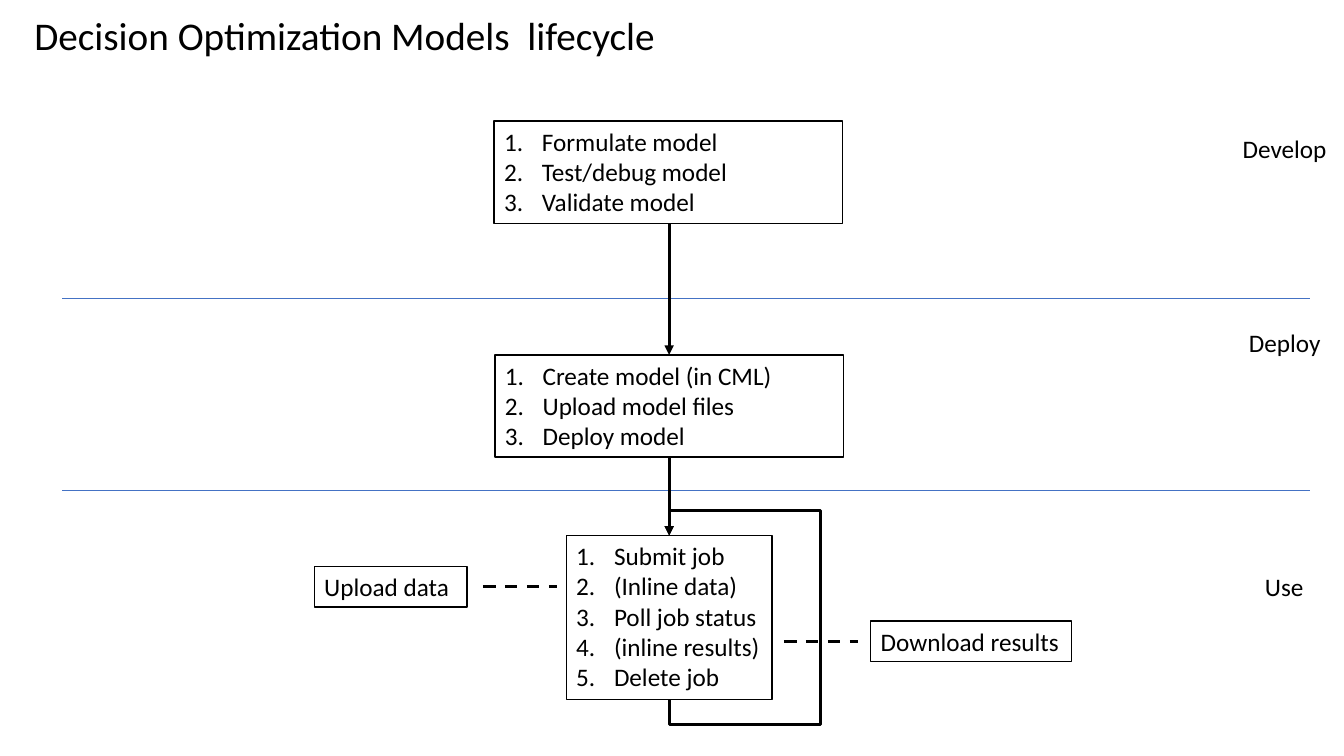
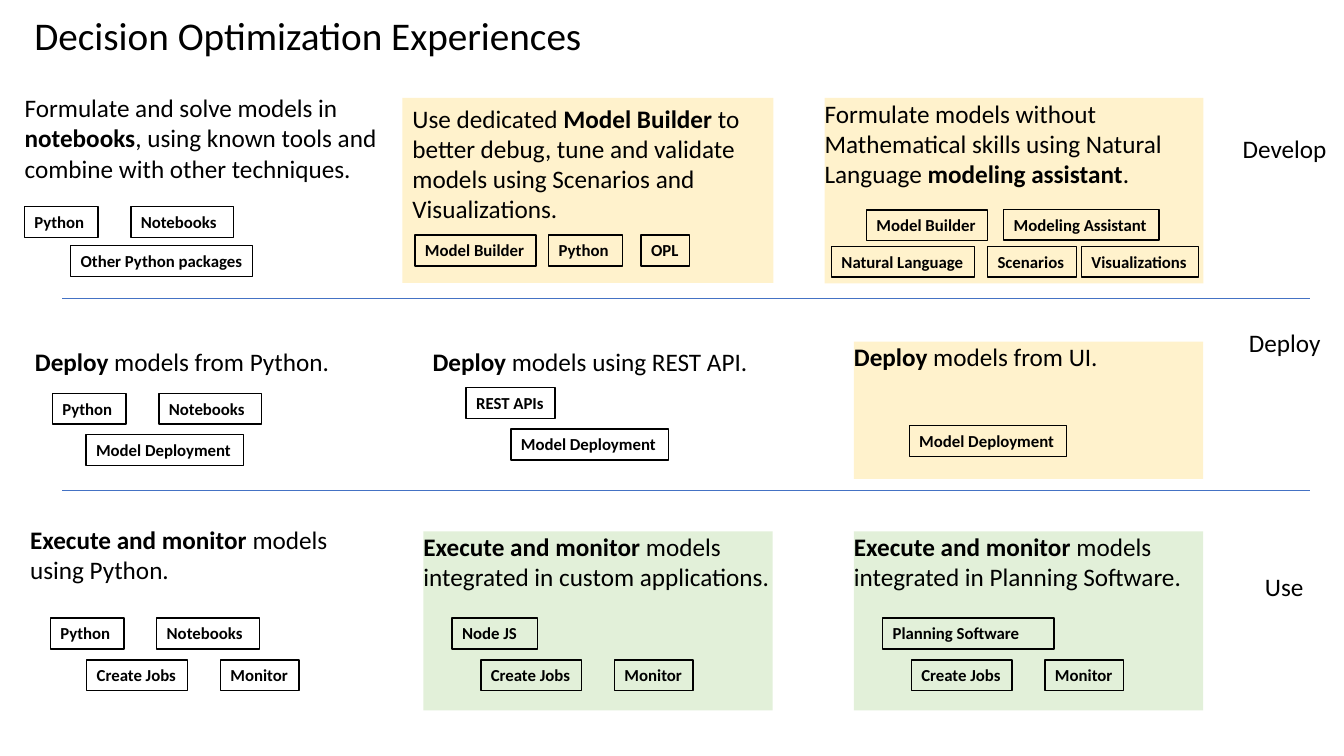
from dataclasses import dataclass
from typing import Optional

from lxml.etree import SubElement
from pptx import Presentation
from pptx.dml.color import RGBColor
from pptx.enum.dml import MSO_LINE_DASH_STYLE as Dash
from pptx.enum.shapes import MSO_CONNECTOR as Connector, MSO_SHAPE as Shape
from pptx.enum.text import MSO_ANCHOR as Anchor, PP_ALIGN as Align
from pptx.oxml.ns import qn
from pptx.util import Pt

FONT = "Calibri"
BLACK = RGBColor(0x00, 0x00, 0x00)
BLUE = RGBColor(0x44, 0x72, 0xC4)
YELLOW = RGBColor(0xFF, 0xF2, 0xCC)
GREEN = RGBColor(0xE2, 0xF0, 0xD9)

SLIDE_W, SLIDE_H = 960, 540
INSET_X, INSET_Y = 7.2, 3.6
LIST_INDENT = 27
FLOW_LINE = 2.25
FLOW_X = 478  # axis of the lifecycle
TAG_H = 22
TAG_WIDTHS = {
    "Python": 52.5, "Notebooks": 73.5, "Other Python packages": 130,
    "Model Builder": 86.5, "OPL": 34.5, "Scenarios": 63.5,
    "Visualizations": 83.5, "Natural Language": 102,
    "Modeling Assistant": 111, "Model Deployment": 112.5,
    "REST APIs": 63.5, "Node JS": 61, "Create Jobs": 72, "Monitor": 56,
    "Planning Software": 122.5,
}


@dataclass(frozen=True)
class Box:
    """Text area; *asterisks* in a line mark bold words."""
    x: float
    y: float
    w: float
    h: float
    lines: tuple[str, ...]
    fill: Optional[RGBColor] = None
    outlined: bool = False
    size: float = 18
    bold: bool = False
    numbered: bool = False
    inset: bool = True
    anchor: Anchor = Anchor.TOP
    spacing: float = 1.0


@dataclass(frozen=True)
class Tag:
    x: float
    y: float
    label: str


def number_paragraph(p) -> None:
    pPr = p._p.get_or_add_pPr()
    pPr.set("marL", str(Pt(LIST_INDENT)))
    pPr.set("indent", str(-Pt(LIST_INDENT)))
    SubElement(pPr, qn("a:buAutoNum"), type="arabicPeriod")


def add_box(slide, box: Box) -> None:
    s = slide.shapes.add_shape(
        Shape.RECTANGLE, Pt(box.x), Pt(box.y), Pt(box.w), Pt(box.h))
    s.shadow.inherit = False
    if box.fill is None:
        s.fill.background()
    else:
        s.fill.solid()
        s.fill.fore_color.rgb = box.fill
    if box.outlined:
        s.line.color.rgb = BLACK
        s.line.width = Pt(1)
    else:
        s.line.fill.background()

    tf = s.text_frame
    tf.word_wrap = True
    tf.vertical_anchor = box.anchor
    tf.margin_left = Pt(INSET_X if box.inset else 0)
    tf.margin_top = tf.margin_bottom = Pt(INSET_Y if box.inset else 0)
    tf.margin_right = Pt(0)
    for i, line in enumerate(box.lines):
        p = tf.add_paragraph() if i else tf.paragraphs[0]
        p.alignment = Align.LEFT
        p.line_spacing = box.spacing
        if box.numbered:
            number_paragraph(p)
        for j, words in enumerate(line.split("*")):
            if not words:
                continue
            r = p.add_run()
            r.text = words
            r.font.name = FONT
            r.font.size = Pt(box.size)
            r.font.bold = box.bold or j % 2 == 1
            r.font.color.rgb = BLACK


def add_tag(slide, tag: Tag) -> None:
    add_box(slide, Box(tag.x, tag.y, TAG_WIDTHS[tag.label], TAG_H,
                       (tag.label,), outlined=True, size=12, bold=True))


def add_arrowhead(s) -> None:
    SubElement(s._element.spPr.get_or_add_ln(), qn("a:tailEnd"),
               type="triangle")


def add_line(slide, x1: float, y1: float, x2: float, y2: float,
             color: RGBColor = BLACK, width: float = FLOW_LINE,
             dashed: bool = False, arrow: bool = False) -> None:
    s = slide.shapes.add_connector(
        Connector.STRAIGHT, Pt(x1), Pt(y1), Pt(x2), Pt(y2))
    s.line.color.rgb = color
    s.line.width = Pt(width)
    if dashed:
        s.line.dash_style = Dash.DASH
    if arrow:
        add_arrowhead(s)
    SubElement(s._element.spPr, qn("a:effectLst"))


def add_loop(slide, points: list[tuple[float, float]]) -> None:
    """Open outline through the points, ending in an arrowhead."""
    start, *rest = [(Pt(x), Pt(y)) for x, y in points]
    builder = slide.shapes.build_freeform(*start)
    builder.add_line_segments(rest, close=False)
    s = builder.convert_to_shape()
    s.shadow.inherit = False
    s.fill.background()
    s.line.color.rgb = BLACK
    s.line.width = Pt(FLOW_LINE)
    add_arrowhead(s)


def new_slide(prs, title: str):
    """Blank slide with the title, stage names and stage dividers."""
    slide = prs.slides.add_slide(prs.slide_layouts[6])
    add_box(slide, Box(17.5, 14, 611, 26, (title,), size=28,
                       anchor=Anchor.MIDDLE, spacing=0.9))
    for y in (213, 350.5):
        add_line(slide, 44.5, y, 935.5, y, BLUE, 0.5)
    for x, y, stage in ((880.5, 91.5, "Develop"), (885, 230.5, "Deploy"),
                        (896.5, 404.5, "Use")):
        add_box(slide, Box(x, y, SLIDE_W - x, 29, (stage,)))
    return slide


def build_lifecycle(prs) -> None:
    slide = new_slide(prs, "Decision Optimization Models  lifecycle")
    develop = Box(353, 86.5, 249, 73, (
        "Formulate model", "Test/debug model", "Validate model"),
        outlined=True, numbered=True)
    deploy = Box(353.5, 253.5, 249, 73, (
        "Create model (in CML)", "Upload model files", "Deploy model"),
        outlined=True, numbered=True)
    use = Box(404.5, 382.5, 147, 117, (
        "Submit job", "(Inline data)", "Poll job status",
        "(inline results)", "Delete job"), outlined=True, numbered=True)
    upload = Box(224.5, 404.5, 109, 29, ("Upload data",), outlined=True)
    download = Box(622, 443.5, 143.5, 29, ("Download results",),
                   outlined=True)
    for box in (develop, deploy, use, upload, download):
        add_box(slide, box)

    for upper, lower in ((develop, deploy), (deploy, use)):
        add_line(slide, FLOW_X, upper.y + upper.h, FLOW_X, lower.y,
                 arrow=True)
    bottom, loop_x = use.y + use.h, 586
    add_loop(slide, [(FLOW_X, bottom), (FLOW_X, bottom + 18),
                     (loop_x, bottom + 18), (loop_x, use.y - 18),
                     (FLOW_X, use.y - 18), (FLOW_X, use.y)])
    for x, y in ((345, 419), (560, 458.5)):
        add_line(slide, x, y, x + 53, y, dashed=True)


def python_tags(x: float, y: float) -> list[Tag]:
    return [Tag(x, y, "Python"), Tag(x + 76, y, "Notebooks")]


def job_tags(x: float) -> list[Tag]:
    return [Tag(x, 471.5, "Create Jobs"), Tag(x + 95.5, 471.5, "Monitor")]


def build_experiences(prs) -> None:
    slide = new_slide(prs, "Decision Optimization Experiences")
    notes = [
        Box(10.5, 62.5, 267, 143, (
            "Formulate and solve models in *notebooks*, using known tools "
            "and combine with other techniques.",)),
        Box(287.5, 70, 265, 132, (
            "Use dedicated *Model Builder *to better debug, tune and "
            "validate models using Scenarios and Visualizations.",), YELLOW),
        Box(589, 70, 270.5, 132.5, (
            "Formulate models without Mathematical skills using Natural "
            "Language *modeling assistant*.",), YELLOW, inset=False),
        Box(25, 247.5, 307.5, 39.5, ("*Deploy* models from Python.",),
            inset=False),
        Box(309, 247, 307.5, 39.5, ("*Deploy* models using REST API.",),
            inset=False),
        Box(610, 244, 249.5, 98, ("*Deploy* models from UI.",), YELLOW,
            inset=False),
        Box(21.5, 374.5, 229, 39.5, (
            "*Execute and monitor *models using Python.",), inset=False),
        Box(302.5, 379.5, 249.5, 128, (
            "*Execute and monitor *models integrated in custom "
            "applications.",), GREEN, inset=False),
        Box(610, 379.5, 249.5, 128, (
            "*Execute and monitor *models integrated in Planning "
            "Software.",), GREEN, inset=False),
    ]
    tags = [
        *python_tags(17.5, 147.5),
        Tag(50.5, 175.5, "Other Python packages"),
        Tag(296.5, 168, "Model Builder"),
        Tag(392, 168, "Python"),
        Tag(458, 168, "OPL"),
        Tag(619, 150, "Model Builder"),
        Tag(717, 149.5, "Modeling Assistant"),
        Tag(594, 176, "Natural Language"),
        Tag(705.5, 176, "Scenarios"),
        Tag(772.5, 176, "Visualizations"),
        *python_tags(37.5, 281),
        Tag(61.5, 310.5, "Model Deployment"),
        Tag(333, 277, "REST APIs"),
        Tag(365, 306.5, "Model Deployment"),
        Tag(649.5, 304, "Model Deployment"),
        *python_tags(36, 441.5),
        Tag(323, 441.5, "Node JS"),
        Tag(630.5, 441.5, "Planning Software"),
        *job_tags(62), *job_tags(343.5), *job_tags(651),
    ]
    for note in notes:
        add_box(slide, note)
    for tag in tags:
        add_tag(slide, tag)


def main() -> None:
    prs = Presentation()
    prs.slide_width, prs.slide_height = Pt(SLIDE_W), Pt(SLIDE_H)
    build_lifecycle(prs)
    build_experiences(prs)
    prs.save("out.pptx")


if __name__ == "__main__":
    main()
